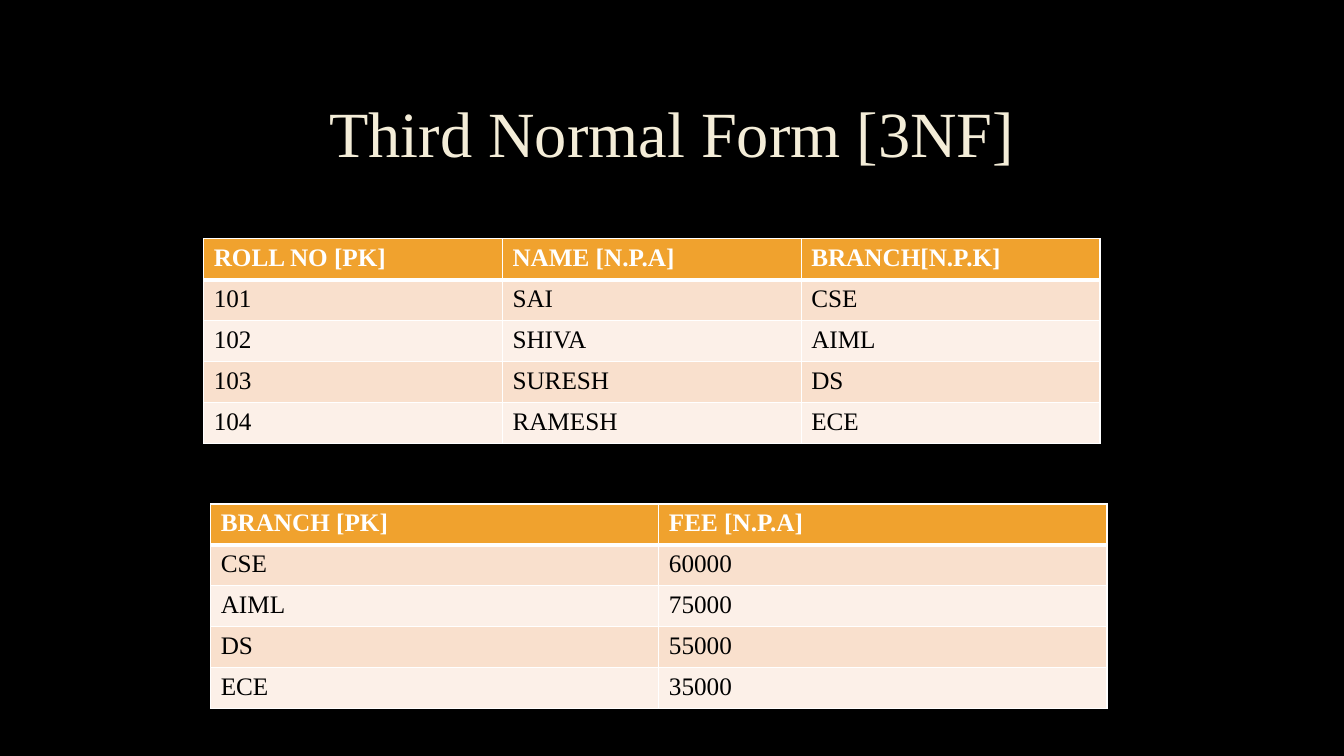
from lxml.etree import SubElement
from pptx import Presentation
from pptx.dml.color import RGBColor
from pptx.enum.text import MSO_ANCHOR as Anchor, PP_ALIGN as Align
from pptx.oxml.ns import qn
from pptx.util import Inches, Pt

BLACK = RGBColor(0x00, 0x00, 0x00)
WHITE = RGBColor(0xFF, 0xFF, 0xFF)
CREAM = RGBColor(0xF4, 0xED, 0xD8)
AMBER = RGBColor(0xF0, 0xA2, 0x2E)
PEACH = RGBColor(0xF9, 0xE0, 0xCD)
PALE_PEACH = RGBColor(0xFC, 0xF0, 0xE8)
FONT = "Times New Roman"

TITLE_BOX = (1, 0.67, 11.32, 1.38)
STUDENT_BOX = (2.02, 2.37, 8.89, 2.03)
FEE_BOX = (2.09, 5, 8.89, 2.03)
STUDENTS = [
    ("ROLL NO [PK]", "NAME [N.P.A]", "BRANCH[N.P.K]"),
    ("101", "SAI", "CSE"),
    ("102", "SHIVA", "AIML"),
    ("103", "SURESH", "DS"),
    ("104", "RAMESH", "ECE"),
]
FEES = [
    ("BRANCH [PK]", "FEE [N.P.A]"),
    ("CSE", "60000"),
    ("AIML", "75000"),
    ("DS", "55000"),
    ("ECE", "35000"),
]


def style_font(font, size, color, bold=False):
    """Set the typeface, size, colour and weight of a font."""
    font.name, font.size, font.bold = FONT, Pt(size), bold
    font.color.rgb = color


def add_title(page, box, text):
    """Place the centred slide title in the box."""
    frame = page.shapes.add_textbox(*map(Inches, box)).text_frame
    frame.word_wrap = True
    frame.vertical_anchor = Anchor.MIDDLE
    para = frame.paragraphs[0]
    para.text = text
    para.alignment = Align.CENTER
    para.line_spacing = 0.9
    style_font(para.font, 46, CREAM)


def add_borders(cell, top, bottom):
    """Draw white cell borders, with top and bottom widths in points."""
    properties = cell._tc.get_or_add_tcPr()
    for side, width in (("L", 1), ("R", 1), ("T", top), ("B", bottom)):
        line = SubElement(properties, qn(f"a:ln{side}"), w=str(Pt(width)))
        fill = SubElement(line, qn("a:solidFill"))
        SubElement(fill, qn("a:srgbClr"), val=str(WHITE))


def add_relation(page, box, rows):
    """Fill the box with an evenly divided table whose first row is the header."""
    left, top, width, height = map(Inches, box)
    table = page.shapes.add_table(len(rows), len(rows[0]), left, top, width, height).table
    for row_index, row in enumerate(rows):
        header = row_index == 0
        band = AMBER if header else (PALE_PEACH, PEACH)[row_index % 2]
        for column_index, text in enumerate(row):
            cell = table.cell(row_index, column_index)
            add_borders(cell, 3 if row_index == 1 else 1, 3 if header else 1)
            cell.fill.solid()
            cell.fill.fore_color.rgb = band
            cell.text = text
            style_font(cell.text_frame.paragraphs[0].font, 18, WHITE if header else BLACK, header)


def main():
    """Build the normal form slide and save it."""
    deck = Presentation()
    deck.slide_width, deck.slide_height = Inches(13.33), Inches(7.5)
    page = deck.slides.add_slide(deck.slide_layouts[6])
    page.background.fill.solid()
    page.background.fill.fore_color.rgb = BLACK
    add_title(page, TITLE_BOX, "Third Normal Form [3NF]")
    add_relation(page, STUDENT_BOX, STUDENTS)
    add_relation(page, FEE_BOX, FEES)
    deck.save("out.pptx")


if __name__ == "__main__":
    main()
